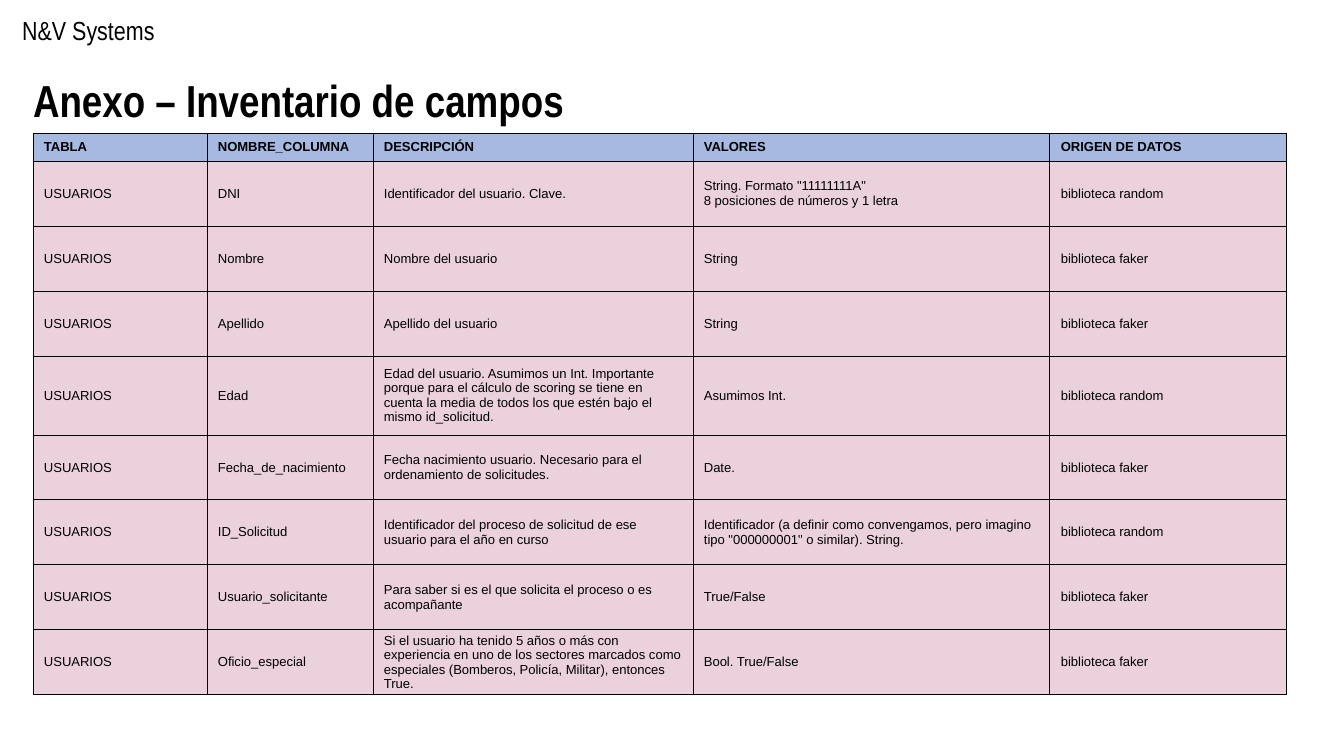
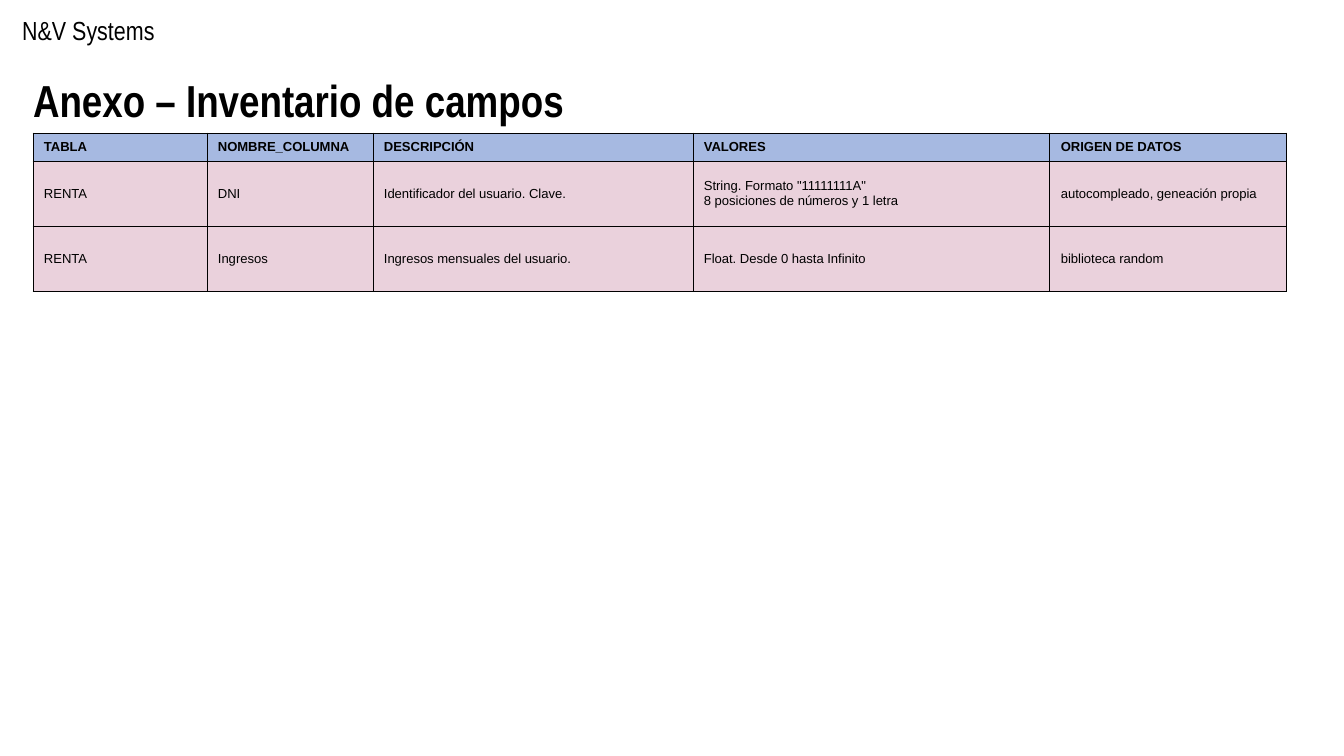
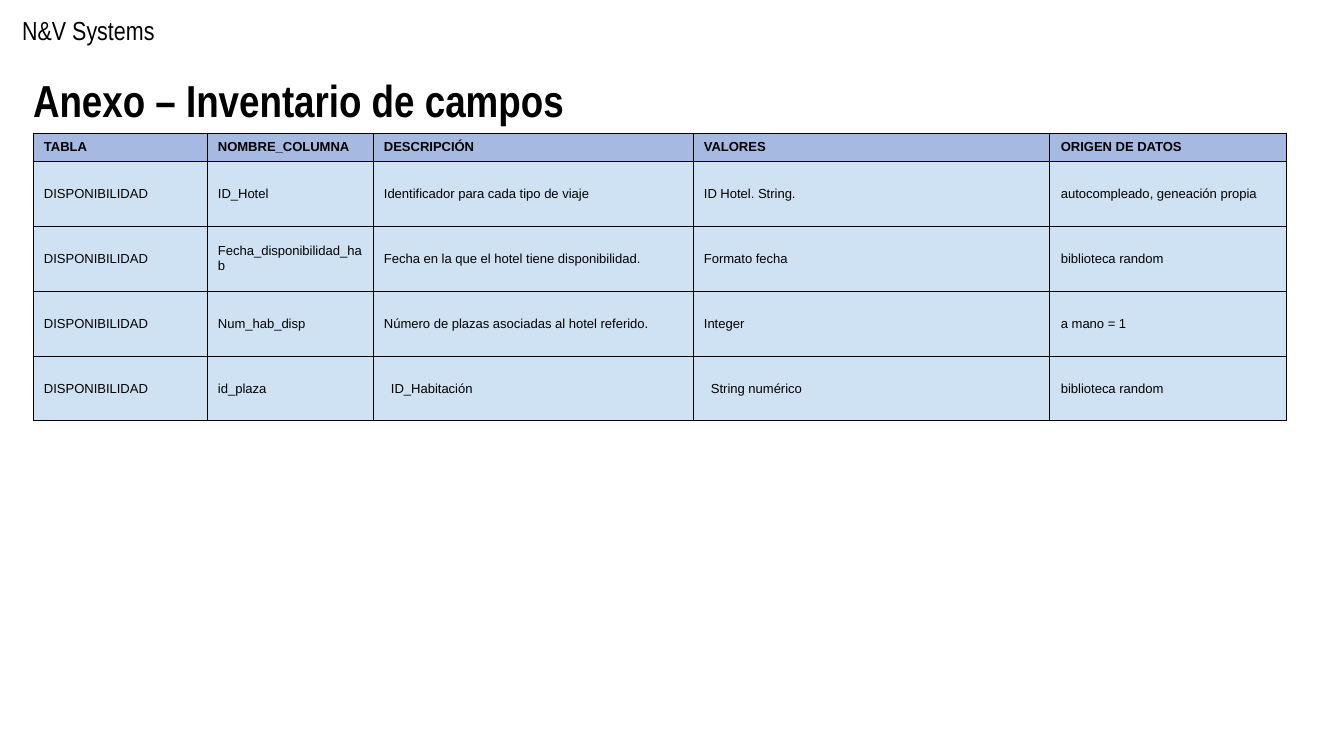
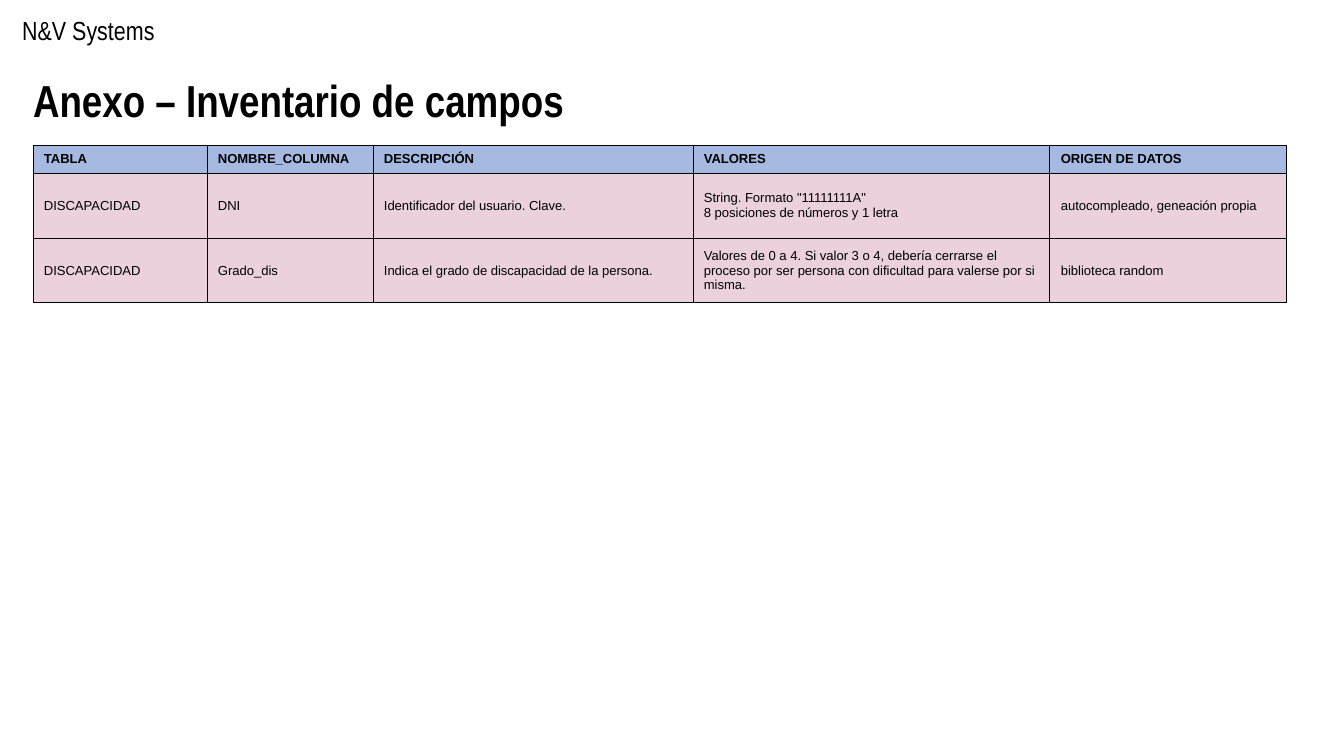
from copy import deepcopy

from pptx import Presentation
from pptx.dml.color import RGBColor
from pptx.enum.text import MSO_ANCHOR, MSO_AUTO_SIZE, PP_ALIGN
from pptx.oxml import parse_xml
from pptx.oxml.ns import nsdecls, qn
from pptx.util import Pt

TOP, MIDDLE = MSO_ANCHOR.TOP, MSO_ANCHOR.MIDDLE
NO_AUTOFIT, GROW = MSO_AUTO_SIZE.NONE, MSO_AUTO_SIZE.SHAPE_TO_FIT_TEXT
LEFT = PP_ALIGN.LEFT

EMU_PER_PX = 914400 / 134.4
SLIDE_SIZE = (1344, 756)
TITLE_ONLY = 5

COLORS = {
    "text": "000000",
    "border": "000000",
    "background": "FFFFFF",
    "header": "A6B9E1",
    "pink": "EAD1DC",
    "blue": "CFE2F3",
}
FONTS = {
    "company": {"name": "Arial Narrow", "size": Pt(14), "bold": False},
    "title": {"name": "Arial Narrow", "size": Pt(24), "bold": True},
    "header": {"name": "Arial", "size": Pt(7), "bold": True},
    "body": {"name": "Arial", "size": Pt(7), "bold": False},
}

COMPANY = "N&V Systems"
TITLE = "Anexo – Inventario de campos"
HEADINGS = ("TABLA", "NOMBRE_COLUMNA", "DESCRIPCIÓN", "VALORES", "ORIGEN DE DATOS")
COLUMN_WIDTHS = (174, 166, 320, 357, 237)
TABLE_LEFT = 33
HEADER_HEIGHT, ROW_HEIGHT, TALL_ROW_HEIGHT = 28, 65, 79
CELL_INSET, CELL_INDENT = 11, 7
INDENTED = {"ID_Habitación", "String numérico"}

USER_KEY = "Identificador del usuario. Clave."
DNI_FORMAT = 'String. Formato "11111111A"\v8 posiciones de números y 1 letra'
RANDOM = "biblioteca random"
FAKER = "biblioteca faker"
OWN = "autocompleado, geneación propia"

INVENTORIES = [
    {
        "entity": "USUARIOS", "color": "pink", "top": 133, "tall": {"Edad"},
        "fields": [
            ("DNI", USER_KEY, DNI_FORMAT, RANDOM),
            ("Nombre", "Nombre del usuario", "String", FAKER),
            ("Apellido", "Apellido del usuario", "String", FAKER),
            ("Edad",
             "Edad del usuario. Asumimos un Int. Importante porque para el cálculo "
             "de scoring se tiene en cuenta la media de todos los que estén bajo "
             "el mismo id_solicitud.",
             "Asumimos Int.", RANDOM),
            ("Fecha_de_nacimiento",
             "Fecha nacimiento usuario. Necesario para el ordenamiento de solicitudes.",
             "Date.", FAKER),
            ("ID_Solicitud",
             "Identificador del proceso de solicitud de ese usuario para el año en curso",
             "Identificador (a definir como convengamos, pero imagino tipo "
             '"000000001" o similar). String.',
             RANDOM),
            ("Usuario_solicitante",
             "Para saber si es el que solicita el proceso o es acompañante",
             "True/False", FAKER),
            ("Oficio_especial",
             "Si el usuario ha tenido 5 años o más con experiencia en uno de los "
             "sectores marcados como especiales (Bomberos, Policía, Militar), "
             "entonces True.",
             "Bool. True/False", FAKER),
        ],
    },
    {
        "entity": "RENTA", "color": "pink", "top": 133, "tall": set(),
        "fields": [
            ("DNI", USER_KEY, DNI_FORMAT, OWN),
            ("Ingresos", "Ingresos mensuales del usuario.",
             "Float. Desde 0 hasta Infinito", RANDOM),
        ],
    },
    {
        "entity": "DISPONIBILIDAD", "color": "blue", "top": 133, "tall": set(),
        "fields": [
            ("ID_Hotel", "Identificador para cada tipo de viaje",
             "ID Hotel. String.", OWN),
            ("Fecha_disponibilidad_hab",
             "Fecha en la que el hotel tiene disponibilidad.",
             "Formato fecha", RANDOM),
            ("Num_hab_disp", "Número de plazas asociadas al hotel referido.",
             "Integer", "a mano = 1"),
            ("id_plaza", "ID_Habitación", "String numérico", RANDOM),
        ],
    },
    {
        "entity": "DISCAPACIDAD", "color": "pink", "top": 145, "tall": set(),
        "fields": [
            ("DNI", USER_KEY, DNI_FORMAT, OWN),
            ("Grado_dis", "Indica el grado de discapacidad de la persona.",
             "Valores de 0 a 4. Si valor 3 o 4, debería cerrarse el proceso por "
             "ser persona con dificultad para valerse por si misma.",
             RANDOM),
        ],
    },
]


def px(length):
    return round(length * EMU_PER_PX)


def rgb(color):
    return RGBColor.from_string(COLORS[color])


def set_all(target, values):
    for attribute, value in values.items():
        setattr(target, attribute, value)


class Deck:
    def __init__(self):
        self.presentation = Presentation()
        self.presentation.slide_width, self.presentation.slide_height = map(px, SLIDE_SIZE)
        self.slide = None

    def add_slide(self):
        layout = self.presentation.slide_layouts[TITLE_ONLY]
        self.slide = self.presentation.slides.add_slide(layout)
        background = self.slide.background.fill
        background.solid()
        background.fore_color.rgb = rgb("background")

    def fill_text(self, frame, text, style):
        """Fill a text frame, giving line breaks the same format as the runs."""
        frame.text = text
        for paragraph in frame.paragraphs:
            paragraph.alignment = LEFT
            for run in paragraph.runs:
                set_all(run.font, FONTS[style])
                run.font.color.rgb = rgb("text")
            for line_break in paragraph._p.findall(qn("a:br")):
                line_break.append(deepcopy(paragraph.runs[0]._r.rPr))

    def company(self, text):
        box = self.slide.shapes.add_textbox(px(9), px(7), px(258), px(46))
        self.fill_text(box.text_frame, text, "company")
        set_all(box.text_frame, {"word_wrap": True, "vertical_anchor": MIDDLE,
                                 "auto_size": GROW})

    def title(self, text):
        title = self.slide.shapes.title
        set_all(title, {"left": px(20), "top": px(60), "width": px(771), "height": px(85)})
        self.fill_text(title.text_frame, text, "title")
        insets = {f"margin_{side}": px(13) for side in ("left", "top", "right", "bottom")}
        set_all(title.text_frame, {"word_wrap": True, "vertical_anchor": TOP,
                                   "auto_size": NO_AUTOFIT, **insets})

    def cell(self, cell, text, style, color):
        self.fill_text(cell.text_frame, text, style)
        indent = CELL_INDENT if text in INDENTED else 0
        set_all(cell, {"vertical_anchor": MIDDLE, "margin_left": px(CELL_INSET + indent),
                       "margin_right": px(CELL_INSET), "margin_top": 0, "margin_bottom": 0})
        cell.fill.solid()
        cell.fill.fore_color.rgb = rgb(color)
        properties = cell._tc.get_or_add_tcPr()
        for position, side in enumerate(("lnL", "lnR", "lnT", "lnB")):
            properties.insert(position, parse_xml(
                f'<a:{side} {nsdecls("a")} w="{Pt(0.5)}"><a:solidFill>'
                f'<a:srgbClr val="{COLORS["border"]}"/></a:solidFill></a:{side}>'))

    def inventory(self, entity, color, top, tall, fields):
        rows = [HEADINGS] + [(entity, *field) for field in fields]
        heights = [HEADER_HEIGHT] + [
            TALL_ROW_HEIGHT if field[0] in tall else ROW_HEIGHT for field in fields]
        table = self.slide.shapes.add_table(
            len(rows), len(HEADINGS), px(TABLE_LEFT), px(top),
            px(sum(COLUMN_WIDTHS)), px(sum(heights))).table
        set_all(table, {"first_row": False, "horz_banding": False})
        for column, width in zip(table.columns, COLUMN_WIDTHS):
            column.width = px(width)
        for index, (row, height, texts) in enumerate(zip(table.rows, heights, rows)):
            row.height = px(height)
            style, fill = ("body", color) if index else ("header", "header")
            for cell, text in zip(row.cells, texts):
                self.cell(cell, text, style, fill)


def main():
    deck = Deck()
    for inventory in INVENTORIES:
        deck.add_slide()
        deck.company(COMPANY)
        deck.title(TITLE)
        deck.inventory(**inventory)
    deck.presentation.save("out.pptx")


if __name__ == "__main__":
    main()
